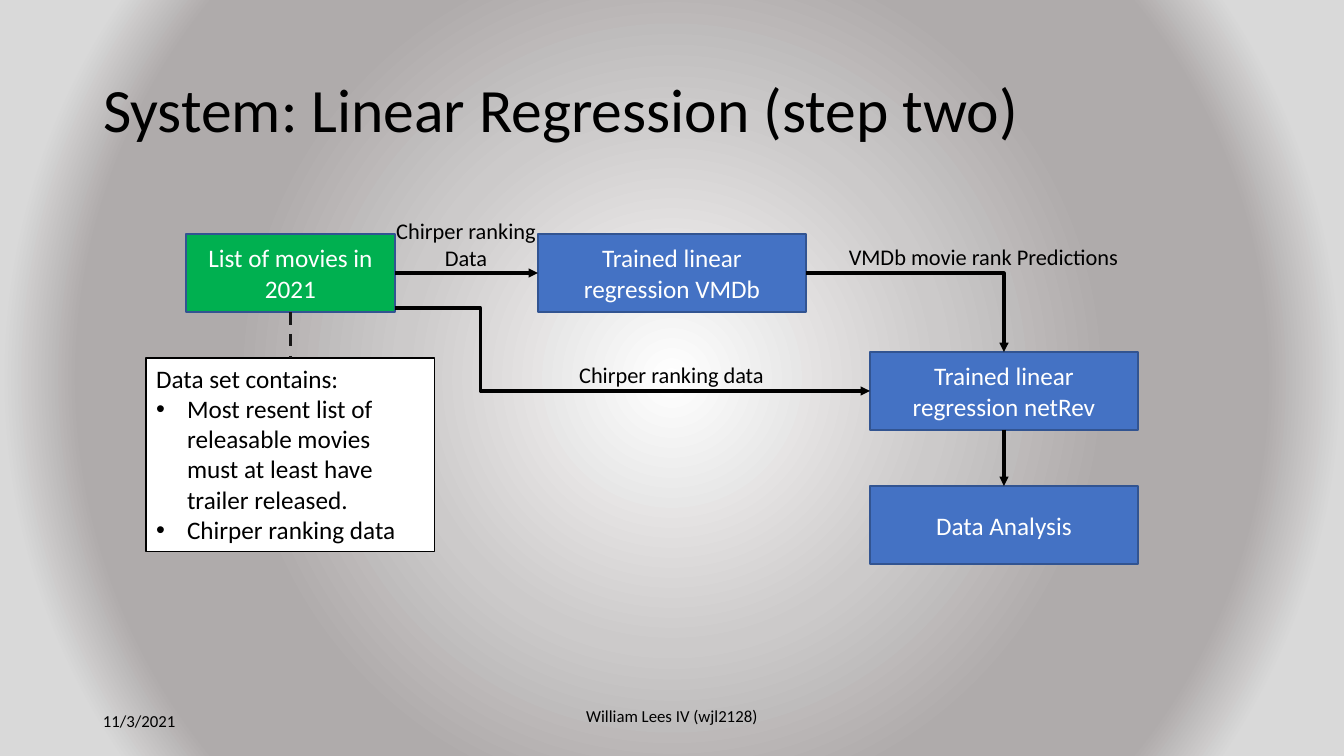
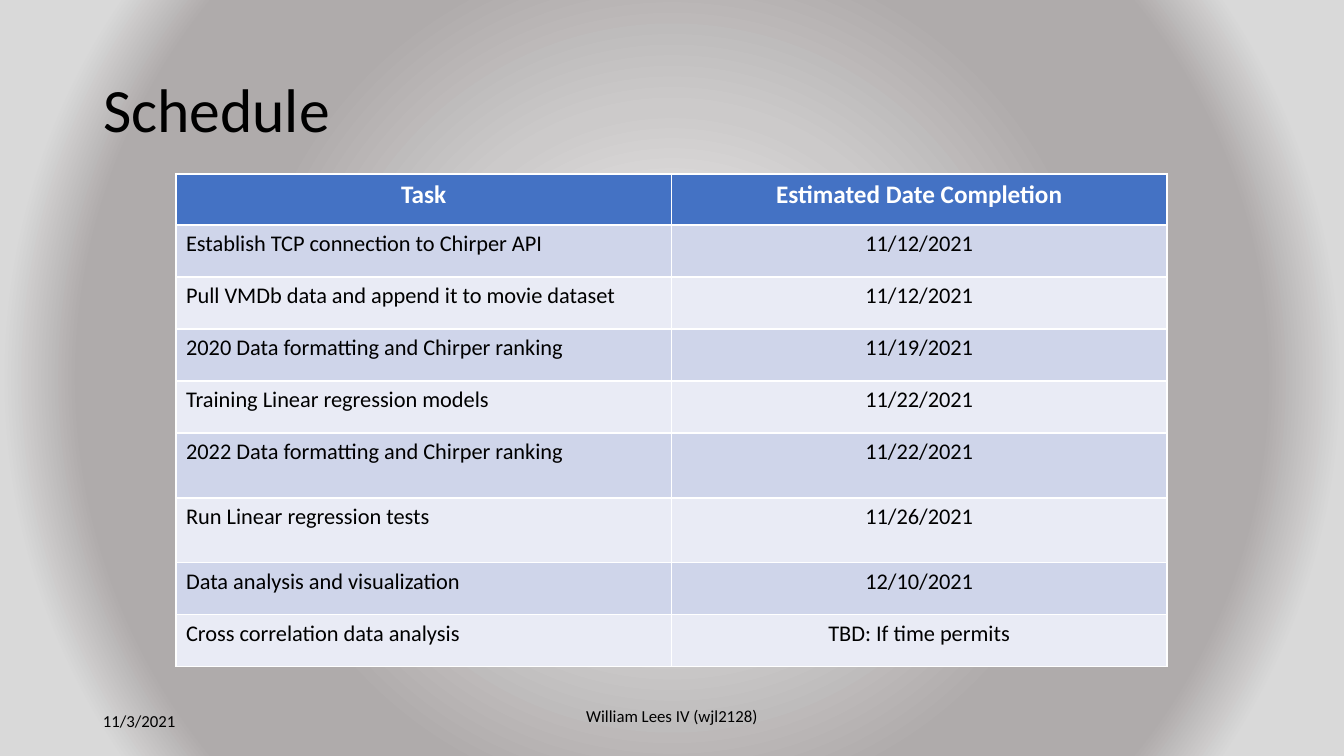
from lxml.etree import SubElement
from pptx import Presentation
from pptx.dml.color import RGBColor
from pptx.enum.dml import MSO_LINE
from pptx.enum.shapes import MSO_CONNECTOR, MSO_SHAPE
from pptx.enum.text import MSO_ANCHOR, MSO_AUTO_SIZE, PP_ALIGN
from pptx.oxml.ns import qn
from pptx.util import Emu, Pt

SCALE = 12192000 / 1344
BLACK, WHITE, BLUE, GREEN = "000000", "FFFFFF", "4472C4", "00B050"
EDGE, DASH = "325491", "181717"
BANDS = ("E9EBF5", "CFD5EA")
STOPS = [(0, WHITE), (35, "CCCACA"), (57, "AFABAB"), (77, "AFABAB"), (87, "D9D9D9")]
LEFT, MID = PP_ALIGN.LEFT, PP_ALIGN.CENTER
TOP, RIGHT, BASE, SIDE = 0, 3, 2, 1  # connection sites of a rectangle


def px(num):
    return Emu(round(num * SCALE))


def tint(code):
    return RGBColor.from_string(code)


def put(item, **vals):
    for name, val in vals.items():
        setattr(item, name, val)


def place(item, box):
    put(item, **dict(zip(("left", "top", "width", "height"), map(px, box))))


class Deck:
    def __init__(self):
        self.prs = Presentation()
        put(self.prs, slide_width=px(1344), slide_height=px(756))
        self.slide = None
        self.backdrop()

    def backdrop(self):
        """Radial grey gradient on the master, shared by all slides."""
        master = self.prs.slide_master
        master.background.fill.solid()
        frame = master.element.find(".//" + qn("p:bgPr"))
        frame.remove(frame[0])
        grad = frame.makeelement(qn("a:gradFill"), {"rotWithShape": "1"})
        frame.insert(0, grad)
        stops = SubElement(grad, qn("a:gsLst"))
        for pos, code in STOPS:
            stop = SubElement(stops, qn("a:gs"), pos=str(pos * 1000))
            color = SubElement(stop, qn("a:srgbClr"), val=code)
            if pos == 0:
                SubElement(color, qn("a:alpha"), val="0")
        glow = SubElement(grad, qn("a:path"))
        glow.set("path", "circle")
        SubElement(glow, qn("a:fillToRect"), l="50000", t="50000", r="50000", b="50000")

    def start(self, title, layout):
        """New slide with its title, date and author."""
        self.slide = self.prs.slides.add_slide(self.prs.slide_layouts[layout])
        head = self.slide.shapes.title
        place(head, (93, 40, 1159, 146))
        self.words(head, [title], 44, align=LEFT, anchor=MSO_ANCHOR.MIDDLE)
        head.text_frame.paragraphs[0].line_spacing = 0.9
        self.label("11/3/2021", (93, 701, 302, 40), 12, LEFT, MSO_ANCHOR.MIDDLE)
        self.label("William Lees IV (wjl2128)", (575, 701, 194, 30), 12,
                   anchor=MSO_ANCHOR.MIDDLE)

    def words(self, shape, lines, size, color=BLACK, align=MID, anchor=MSO_ANCHOR.TOP):
        frame = shape.text_frame
        put(frame, word_wrap=True, auto_size=MSO_AUTO_SIZE.NONE, vertical_anchor=anchor)
        for num, line in enumerate(lines):
            para = frame.add_paragraph() if num else frame.paragraphs[0]
            self.line(para, line, size, color, align)

    def line(self, para, text, size, color=BLACK, align=MID, bold=False):
        para.alignment = align
        run = para.add_run()
        run.text = text
        put(run.font, name="Calibri", size=Pt(size), bold=bold)
        run.font.color.rgb = tint(color)

    def label(self, text, box, size=16, align=MID, anchor=MSO_ANCHOR.TOP):
        shape = self.slide.shapes.add_textbox(*map(px, box))
        self.words(shape, [text], size, align=align, anchor=anchor)

    def paint(self, shape, fill, edge, width):
        shape.fill.solid()
        shape.fill.fore_color.rgb = tint(fill)
        shape.line.color.rgb = tint(edge)
        shape.line.width = Pt(width)

    def step(self, text, x, y, width=268, fill=BLUE):
        box = map(px, (x, y, width, 78))
        shape = self.slide.shapes.add_shape(MSO_SHAPE.RECTANGLE, *box)
        shape.shadow.inherit = False
        self.paint(shape, fill, EDGE, 1)
        self.words(shape, [text], 18, WHITE, anchor=MSO_ANCHOR.MIDDLE)
        return shape

    def note(self, lead, items, box):
        """Body placeholder: a lead line, then bullets."""
        body = self.slide.placeholders[1]
        place(body, box)
        self.paint(body, WHITE, BLACK, 0.75)
        self.words(body, [lead, *items], 18, align=LEFT)
        for num, para in enumerate(body.text_frame.paragraphs):
            put(para, space_before=Pt(0))
            hang = px(31) if num else 0
            props = para._p.get_or_add_pPr()
            props.set("marL", str(hang))
            props.set("indent", str(-hang))
            if num:
                SubElement(props, qn("a:buFont"), typeface="Arial")
                SubElement(props, qn("a:buChar"), char="\u2022")
            else:
                SubElement(props, qn("a:buNone"))
        return body

    def link(self, start, end, form="line", bend=None, dash=False):
        """Connector; an end is a (shape, site) pair or an (x, y) point."""
        kind = MSO_CONNECTOR.STRAIGHT if form == "line" else MSO_CONNECTOR.ELBOW
        wire = self.slide.shapes.add_connector(kind, 0, 0, 0, 0)
        if isinstance(start[0], int):
            put(wire, begin_x=px(start[0]), begin_y=px(start[1]))
        else:
            wire.begin_connect(*start)
        wire.end_connect(*end)
        wire.line.color.rgb = tint(DASH if dash else BLACK)
        wire.line.width = Pt(2.25)
        props = wire._element.spPr
        geom = props.find(qn("a:prstGeom"))
        geom.set("prst", form)
        if bend is not None:
            SubElement(geom.find(qn("a:avLst")), qn("a:gd"), name="adj1",
                       fmla=f"val {round(bend * 100000)}")
        if dash:
            wire.line.dash_style = MSO_LINE.DASH
        else:
            SubElement(props.find(qn("a:ln")), qn("a:tailEnd"), type="triangle")
        SubElement(props, qn("a:effectLst"))

    def table(self, rows, highs, box):
        grid = self.slide.shapes.add_table(len(rows), len(rows[0]), *map(px, box)).table
        for r, (row, high) in enumerate(zip(rows, highs)):
            grid.rows[r].height = px(high)
            for c, text in enumerate(row):
                cell = grid.cell(r, c)
                cell.fill.solid()
                cell.fill.fore_color.rgb = tint(BANDS[r % 2] if r else BLUE)
                look = (16, BLACK, MID if c else LEFT) if r else (18, WHITE, MID, True)
                self.line(cell.text_frame.paragraphs[0], text, *look)


deck = Deck()

# Flow of the second step
deck.start("System: Linear Regression (step two)", 1)
films = deck.step("List of movies in 2021", 186, 234, 209, GREEN)
rank = deck.step("Trained linear regression VMDb", 538, 234)
gain = deck.step("Trained linear regression netRev", 870, 352)
study = deck.step("Data Analysis", 870, 486)
data = deck.note("Data set contains:", [
    "Most resent list of releasable movies must at least have trailer released.",
    "Chirper ranking data",
], (146, 358, 289, 194))

deck.link((films, RIGHT), (rank, SIDE))
deck.link((395, 308), (gain, SIDE), "bentConnector3", bend=0.18)
deck.link((rank, RIGHT), (gain, TOP), "bentConnector2")
deck.link((gain, BASE), (study, TOP))
deck.link((films, BASE), (data, TOP), dash=True)

deck.label("Chirper ranking Data", (383, 212, 166, 64))
deck.label("VMDb movie rank Predictions", (830, 238, 307, 37))
deck.label("Chirper ranking data", (560, 356, 223, 37))

# Schedule
deck.start("Schedule", 5)
deck.table([
    ("Task", "Estimated Date Completion"),
    ("Establish TCP connection to Chirper API", "11/12/2021"),
    ("Pull VMDb data and append it to movie dataset", "11/12/2021"),
    ("2020 Data formatting and Chirper ranking", "11/19/2021"),
    ("Training Linear regression models", "11/22/2021"),
    ("2022 Data formatting and Chirper ranking", "11/22/2021"),
    ("Run Linear regression tests", "11/26/2021"),
    ("Data analysis and visualization", "12/10/2021"),
    ("Cross correlation data analysis", "TBD: If time permits"),
], [51] + [52] * 4 + [65] * 2 + [52] * 2, (176, 174, 991, 493))

deck.prs.save("out.pptx")
